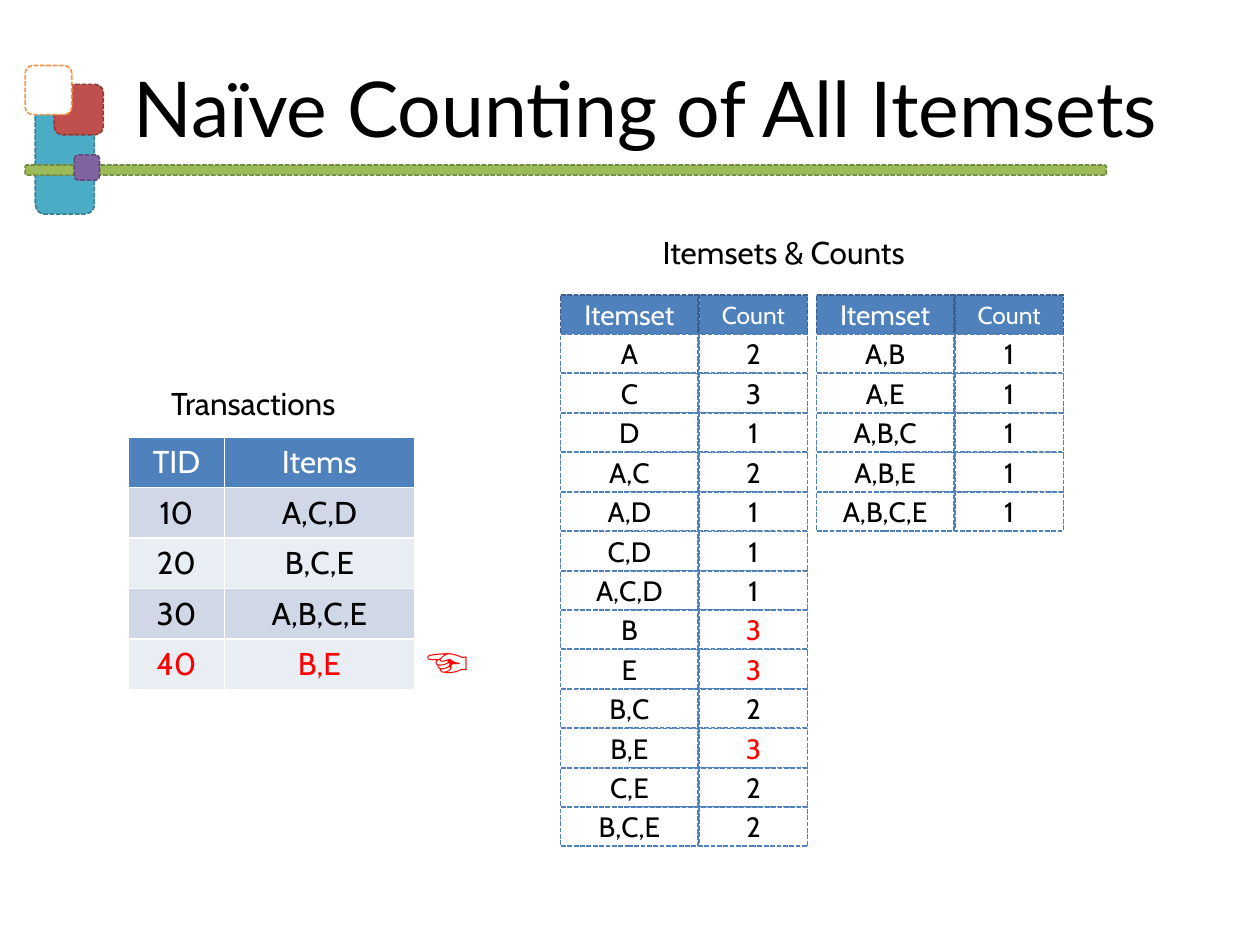
"""Build a slide that counts every itemset found in four transactions."""
from pptx import Presentation
from pptx import util as u
from pptx.dml.color import RGBColor
from pptx.enum import dml, shapes, text

look = dict(
    blue="4F81BD", navy="3A5F8C", white="FFFFFF", black="000000", red="FF0000",
    odd="D0D8E8", even="E9EDF4", body="Cabin", head="Lato", hand="Noto Sans CJK KR",
    title=44, mark=24, label=18, cell=16, small=14, line=0.9,
)
prs = Presentation()
prs.slide_width, prs.slide_height = u.Inches(10), u.Inches(7.5)
slide = prs.slides.add_slide(prs.slide_layouts[6])
mid = text.PP_ALIGN.CENTER


def write(frame, words, size="cell", color="black", font="body", align=mid, bold=False):
    para = frame.paragraphs[0]
    para.alignment = align
    run = para.add_run()
    run.text = words
    form = dict(name=look[font], size=u.Pt(look[size]), bold=bold)
    for key, value in form.items():
        setattr(run.font, key, value)
    run.font.color.rgb = RGBColor.from_string(look[color])


def block(kind, area, fill, edge):
    shape = slide.shapes.add_shape(kind, *map(u.Inches, area))
    shape.shadow.inherit = False
    shape.fill.solid()
    shape.fill.fore_color.rgb = RGBColor.from_string(fill)
    shape.line.color.rgb = RGBColor.from_string(edge)
    shape.line.width = u.Pt(look["line"])
    shape.line.dash_style = dml.MSO_LINE.SQUARE_DOT
    return shape


decor = [
    ((0.28, 0.7, 0.47, 1), "4BACC6", "377F92"),
    ((0.2, 1.31, 8.58, 0.08), "9BBB59", "738A42"),
    ((0.43, 0.67, 0.39, 0.4), "C0504D", "8E3B39"),
    ((0.2, 0.52, 0.37, 0.39), "FFFFFF", "F79646"),
    ((0.59, 1.23, 0.2, 0.2), "8064A2", "5F4A78"),
]
for area, fill, edge in decor:
    block(shapes.MSO_SHAPE.ROUNDED_RECTANGLE, area, fill, edge)

left, top, middle = text.PP_ALIGN.LEFT, text.MSO_ANCHOR.TOP, text.MSO_ANCHOR.MIDDLE
labels = [
    ((0.75, 0.3, 8.75, 1.09), middle, ("Naïve Counting of All Itemsets", "title", "black", "head")),
    ((5.16, 1.8, 3.35, 0.5), top, ("Itemsets & Counts", "label", "black", "body", left)),
    ((1.26, 3, 1.77, 0.4), top, ("Transactions", "label", "black", "body", left)),
    ((3.29, 5, 0.54, 0.5), top, ("☜", "mark", "red", "hand", left, True)),
]
for area, anchor, words in labels:
    frame = slide.shapes.add_textbox(*map(u.Inches, area)).text_frame
    frame.word_wrap = True
    frame.vertical_anchor = anchor
    write(frame, *words)

counts = [
    (4.45, [("A", 2), ("C", 3), ("D", 1), ("A,C", 2), ("A,D", 1), ("C,D", 1), ("A,C,D", 1),
            ("B", 3), ("E", 3), ("B,C", 2), ("B,E", 3), ("C,E", 2), ("B,C,E", 2)]),
    (6.48, [("A,B", 1), ("A,E", 1), ("A,B,C", 1), ("A,B,E", 1), ("A,B,C,E", 1)]),
]
hot = {"B", "E", "B,E"}
start, pitch = 2.34, 4.38 / 14
for x, pairs in counts:
    for row, (name, count) in enumerate([("Itemset", "Count"), *pairs]):
        fill, edge = ("white", "blue") if row else ("blue", "navy")
        ink = "black" if row else "white"
        y = start + row * pitch
        cells = [
            (x, 1.09, name, "cell", ink),
            (x + 1.1, 0.86, str(count), "cell" if row else "small", "red" if name in hot else ink),
        ]
        for at, width, words, size, color in cells:
            shape = block(shapes.MSO_SHAPE.RECTANGLE, (at, y, width, 0.31), look[fill], look[edge])
            shape.text_frame.vertical_anchor = middle
            write(shape.text_frame, words, size, color)

sales = [("TID", "Items"), ("10", "A,C,D"), ("20", "B,C,E"), ("30", "A,B,C,E"), ("40", "B,E")]
fills = ["blue", "odd", "even", "odd", "even"]
inks = ["white", "black", "black", "black", "red"]
table = slide.shapes.add_table(5, 2, *map(u.Inches, (1.02, 3.47, 2.27, 2))).table
for col, width in zip(table.columns, (0.76, 1.51)):
    col.width = u.Inches(width)
for row, (items, fill, ink) in enumerate(zip(sales, fills, inks)):
    table.rows[row].height = u.Inches(0.4)
    for col, words in enumerate(items):
        cell = table.cell(row, col)
        cell.fill.solid()
        cell.fill.fore_color.rgb = RGBColor.from_string(look[fill])
        write(cell.text_frame, words, "label", ink)

prs.save("out.pptx")
